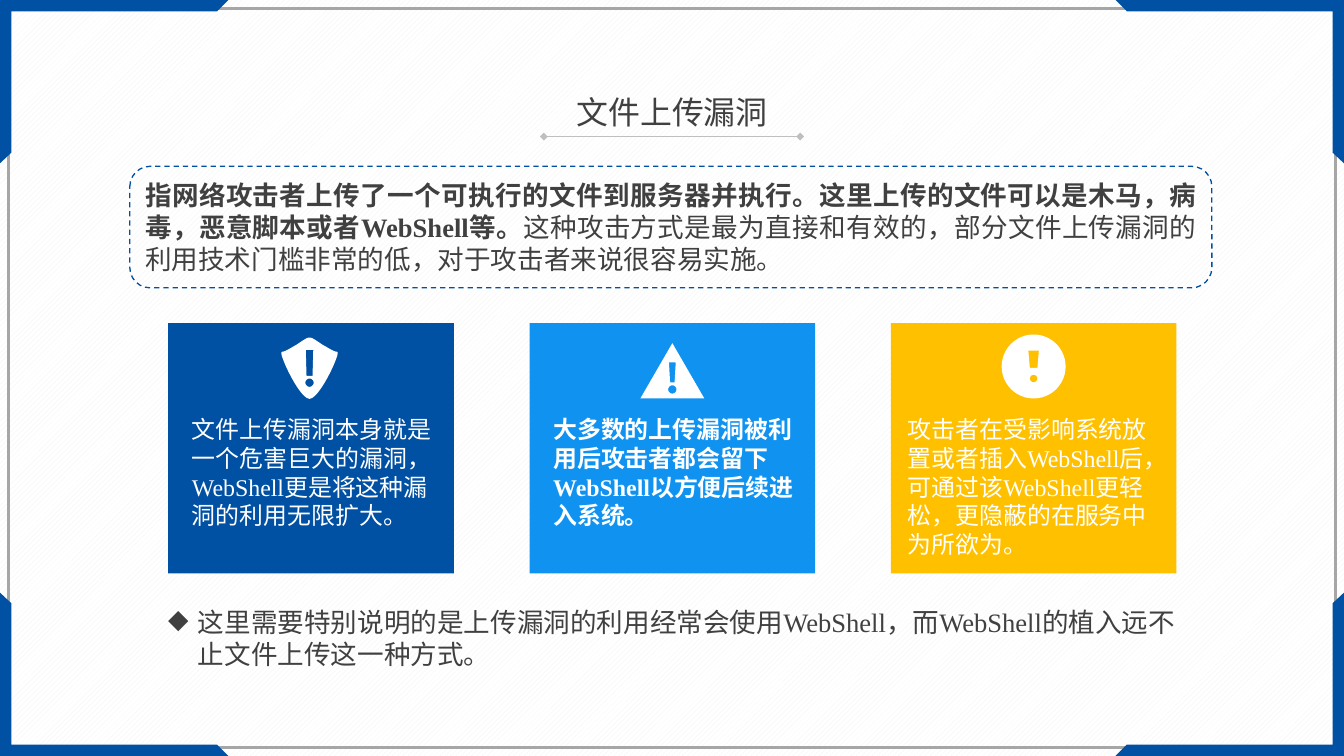
"""Build the slide on file upload vulnerabilities."""
from math import cos, pi, sin

from lxml.etree import SubElement
from pptx import Presentation
from pptx.dml.color import RGBColor
from pptx.enum.dml import MSO_LINE, MSO_PATTERN
from pptx.enum.shapes import MSO_CONNECTOR, MSO_SHAPE
from pptx.enum.text import MSO_ANCHOR, MSO_AUTO_SIZE, PP_ALIGN
from pptx.oxml.ns import qn
from pptx.util import Cm, Pt

BLUE = RGBColor(0x00, 0x50, 0xA3)
SKY = RGBColor(0x10, 0x92, 0xF1)
AMBER = RGBColor(0xFF, 0xC0, 0x00)
WHITE = RGBColor(0xFF, 0xFF, 0xFF)
PALE = RGBColor(0xF2, 0xF2, 0xF2)
SILVER = RGBColor(0xBF, 0xBF, 0xBF)
GREY = RGBColor(0xA6, 0xA6, 0xA6)
DARK = RGBColor(0x40, 0x40, 0x40)

FONT = "Times New Roman"
WIDTH, HEIGHT = 35.71, 20.09
CARD_TOP, CARD_W, CARD_H = 8.59, 7.59, 6.65
CARD_LEFT, CARD_STEP = 4.47, 9.6
CORNER = [(0, 0), (6.07, 0), (5.77, 0.3), (0.3, 0.3), (0.3, 4.06), (0, 4.34)]
SHIELD_CURVES = [
    [(0, 0), (0.08, 0), (0.2, 0.1), (0.36, 0.2)],
    [(0.36, 0.2), (0.51, 0.28), (0.64, 0.38), (0.74, 0.38)],
    [(0.75, 0.41), (0.75, 0.58), (0.25, 1.63), (0, 1.63)],
]


def bezier(points, steps=12):
    """Return points along a cubic curve."""
    a, b, c, d = points
    ts = [i / steps for i in range(steps + 1)]
    return [tuple((1 - t) ** 3 * a[k] + 3 * t * (1 - t) ** 2 * b[k]
                  + 3 * t * t * (1 - t) * c[k] + t ** 3 * d[k] for k in (0, 1))
            for t in ts]


def circle(cy, radius, steps=48):
    """Return a circle centred on the vertical axis."""
    angles = [2 * pi * i / steps for i in range(steps)]
    return [(radius * cos(a), cy + radius * sin(a)) for a in angles]


def shield():
    """Return the shield outline, its left half mirrored from the right."""
    right = [pt for curve in SHIELD_CURVES for pt in bezier(curve)]
    return right + [(-x, y) for x, y in reversed(right)]


def mark(top, bottom, half_top, half_bottom, dot_y, dot_r):
    """Return the two contours of an exclamation mark."""
    bar = [(-half_top, top), (half_top, top),
           (half_bottom, bottom), (-half_bottom, bottom)]
    return [bar, circle(dot_y, dot_r)]


def add_outline(shapes, contours, color, dx=0, dy=0):
    """Add a filled freeform made of closed contours in centimetres."""
    placed = [[(Cm(x + dx), Cm(y + dy)) for x, y in c] for c in contours]
    builder = shapes.build_freeform(*placed[0][0], scale=1.0)
    builder.add_line_segments(placed[0][1:])
    for contour in placed[1:]:
        builder.move_to(*contour[0])
        builder.add_line_segments(contour[1:])
    sp = builder.convert_to_shape()
    sp.shadow.inherit = False
    sp.fill.solid()
    sp.fill.fore_color.rgb = color
    sp.line.fill.background()


def add_box(shapes, kind, box, fill=None, line=None, width=1):
    """Add a preset shape with an optional fill and line."""
    sp = shapes.add_shape(kind, *map(Cm, box))
    sp.shadow.inherit = False
    if fill is None:
        sp.fill.background()
    else:
        sp.fill.solid()
        sp.fill.fore_color.rgb = fill
    if line is None:
        sp.line.fill.background()
    else:
        sp.line.color.rgb = line
        sp.line.width = Pt(width)
    return sp


def write(tf, runs, size, color, align=PP_ALIGN.LEFT):
    """Fill the first paragraph with (text, bold) runs."""
    p = tf.paragraphs[0]
    p.alignment = align
    for text, bold in runs:
        r = p.add_run()
        r.text = text
        r.font.name = FONT
        r.font.size = Pt(size)
        r.font.bold = bold
        r.font.color.rgb = color
    return p


def add_text(shapes, box, runs, size, color, align=PP_ALIGN.LEFT, wrap=True):
    """Add a text box that grows with its text."""
    tf = shapes.add_textbox(*map(Cm, box)).text_frame
    tf.word_wrap = wrap
    tf.auto_size = MSO_AUTO_SIZE.SHAPE_TO_FIT_TEXT
    return write(tf, runs, size, color, align)


def add_frame(s):
    """Add the patterned background, the thin frame and the four corners."""
    fill = s.background.fill
    fill.patterned()
    fill.pattern = MSO_PATTERN.WIDE_UPWARD_DIAGONAL
    fill.fore_color.rgb = PALE
    fill.back_color.rgb = WHITE
    add_box(s.shapes, MSO_SHAPE.RECTANGLE,
            (0.23, 0.23, WIDTH - 0.46, HEIGHT - 0.46), line=GREY, width=2)
    for right in (False, True):
        for low in (False, True):
            points = [(WIDTH - x if right else x, HEIGHT - y if low else y)
                      for x, y in CORNER]
            add_outline(s.shapes, [points], BLUE)


def add_title(s, text):
    """Add the title and the rule with diamond ends below it."""
    line = s.shapes.add_connector(MSO_CONNECTOR.STRAIGHT, Cm(14.45), Cm(3.63),
                                  Cm(21.26), Cm(3.63))
    line.line.color.rgb = SILVER
    line.line.width = Pt(0.5)
    ln = line.line._get_or_add_ln()
    for end in ("a:headEnd", "a:tailEnd"):
        SubElement(ln, qn(end), type="diamond")
    SubElement(line._element.spPr, qn("a:effectLst"))
    add_text(s.shapes, (15.04, 2.34, 5.64, 1.27), [(text, False)], 24, DARK,
             PP_ALIGN.CENTER, wrap=False)


def add_definition(s, runs):
    """Add the dashed rounded box with the definition."""
    sp = add_box(s.shapes, MSO_SHAPE.ROUNDED_RECTANGLE,
                 (3.45, 4.42, 28.75, 3.23), line=BLUE)
    sp.line.dash_style = MSO_LINE.DASH
    tf = sp.text_frame
    tf.word_wrap = True
    tf.vertical_anchor = MSO_ANCHOR.MIDDLE
    write(tf, runs, 20, DARK, PP_ALIGN.JUSTIFY)


def add_card(s, index, color, run, text_box, icon, icon_at):
    """Add one grouped card: panel, text and warning icon."""
    shapes = s.shapes.add_group_shape().shapes
    left = CARD_LEFT + index * CARD_STEP
    add_box(shapes, MSO_SHAPE.RECTANGLE, (left, CARD_TOP, CARD_W, CARD_H), color)
    inset, width, height = text_box
    add_text(shapes, (left + inset, 10.9, width, height), [run], 18, WHITE)
    dx, top = icon_at
    add_outline(shapes, icon, WHITE, left + CARD_W / 2 + dx, top)


def add_note(s, text):
    """Add the closing remark with a diamond bullet."""
    p = add_text(s.shapes, (4.22, 15.98, 27.69, 1.96), [(text, False)], 20, DARK)
    pPr = p._p.get_or_add_pPr()
    pPr.set("marL", str(Cm(0.79)))
    pPr.set("indent", str(-Cm(0.79)))
    SubElement(pPr, qn("a:buChar"), char="◆")


def main():
    """Build and save the slide."""
    prs = Presentation()
    prs.slide_width, prs.slide_height = Cm(WIDTH), Cm(HEIGHT)
    s = prs.slides.add_slide(prs.slide_layouts[6])
    add_frame(s)
    add_title(s, "文件上传漏洞")
    add_definition(s, [
        ("指网络攻击者上传了一个可执行的文件到服务器并执行。这里上传的文件可以是木马，病毒，恶意脚本或者WebShell等。", True),
        ("这种攻击方式是最为直接和有效的，部分文件上传漏洞的利用技术门槛非常的低，对于攻击者来说很容易实施。", False)])
    triangle = [(0, 0), (0.85, 1.47), (-0.85, 1.47)]
    cards = [
        (BLUE, ("文件上传漏洞本身就是一个危害巨大的漏洞，WebShell更是将这种漏洞的利用无限扩大。", False),
         (0.38, 7.01, 3.33), [shield()] + mark(0.33, 1.02, 0.1, 0.08, 1.2, 0.11), (-0.04, 8.97)),
        (SKY, ("大多数的上传漏洞被利用后攻击者都会留下WebShell以方便后续进入系统。", True),
         (0.38, 7.21, 3.33), [triangle] + mark(0.51, 1.04, 0.09, 0.06, 1.23, 0.11), (0, 9.12)),
        (AMBER, ("攻击者在受影响系统放置或者插入WebShell后，可通过该WebShell更轻松，更隐蔽的在服务中为所欲为。", False),
         (0.2, 7.21, 4.11), [circle(0.85, 0.85)] + mark(0.43, 0.89, 0.14, 0.1, 1.17, 0.1), (0, 8.89)),
    ]
    for index, card in enumerate(cards):
        add_card(s, index, *card)
    add_note(s, "这里需要特别说明的是上传漏洞的利用经常会使用WebShell，而WebShell的植入远不止文件上传这一种方式。")
    prs.save("out.pptx")


if __name__ == "__main__":
    main()
